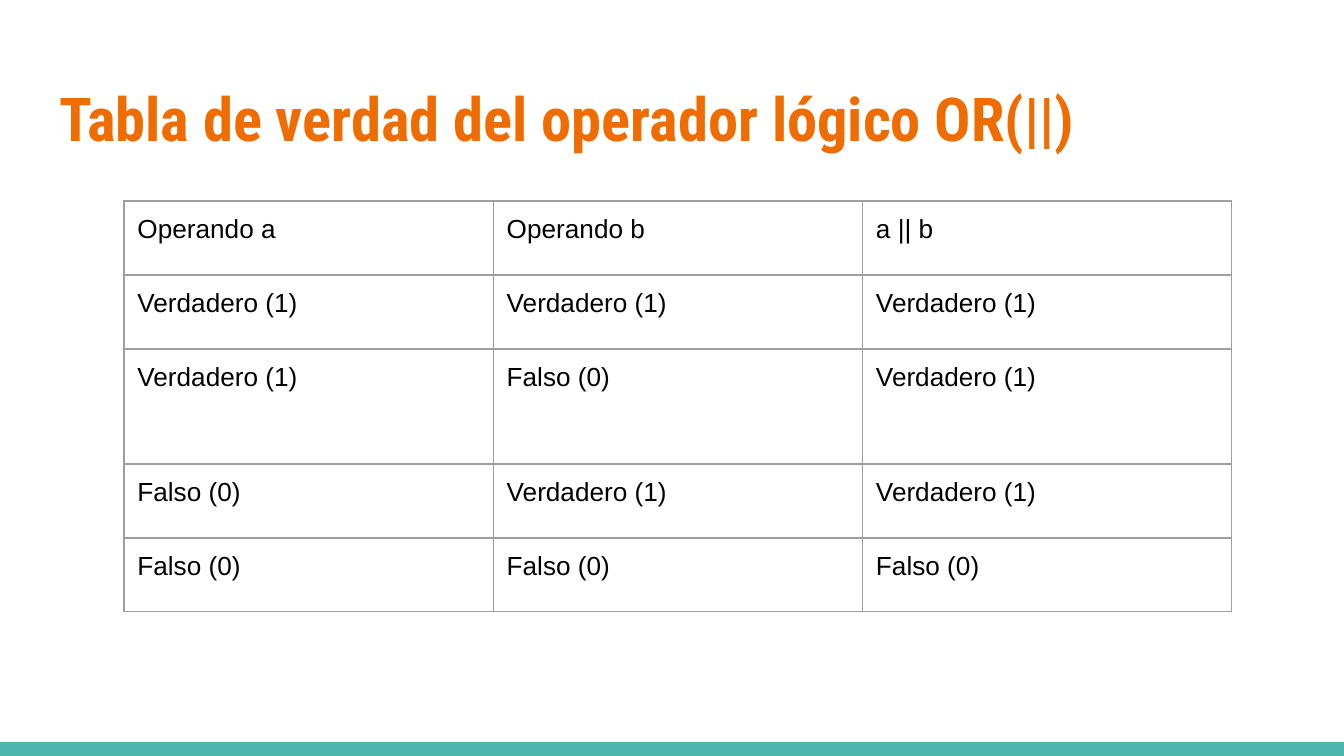
import pptx
import pptx.dml.color
import pptx.enum.shapes
import pptx.enum.text
import pptx.oxml
import pptx.oxml.ns
import pptx.util

PX_PER_INCH = 134.4
SLIDE_WIDTH, SLIDE_HEIGHT = 1344, 756
ORANGE, TEAL, GREY, BLACK = "EF6C00", "4DB6AC", "9E9E9E", "000000"
TRUE, FALSE = "Verdadero (1)", "Falso (0)"
TRUTH_TABLE = [
    ("Operando a", "Operando b", "a || b"),
    (TRUE, TRUE, TRUE),
    (TRUE, FALSE, TRUE),
    (FALSE, TRUE, TRUE),
    (FALSE, FALSE, FALSE),
]
ROW_HEIGHTS = [74, 74, 115, 74, 74]


def px(length):
    return pptx.util.Emu(round(length * 914400 / PX_PER_INCH))


def color(hex_value):
    return pptx.dml.color.RGBColor.from_string(hex_value)


def set_margins(holder):
    holder.margin_left = holder.margin_right = pptx.util.Inches(0.1)
    holder.margin_top = holder.margin_bottom = pptx.util.Inches(0.1)


def add_run(paragraph, text, size, font_name, hex_value, bold=False):
    run = paragraph.add_run()
    run.text = text
    run.font.size = pptx.util.Pt(size)
    run.font.name = font_name
    run.font.bold = bold
    run.font.color.rgb = color(hex_value)


def set_borders(cell, hex_value, width):
    """Draw all four sides of a cell; lines must precede the fill in its XML."""
    properties = cell._tc.get_or_add_tcPr()
    for position, side in enumerate(("lnL", "lnR", "lnT", "lnB")):
        properties.insert(position, pptx.oxml.parse_xml(
            f'<a:{side} {pptx.oxml.ns.nsdecls("a")} w="{pptx.util.Pt(width)}">'
            f'<a:solidFill><a:srgbClr val="{hex_value}"/></a:solidFill></a:{side}>'))


def add_footer_bar(slide, left, top, width, height):
    bar = slide.shapes.add_shape(
        pptx.enum.shapes.MSO_SHAPE.RECTANGLE, px(left), px(top), px(width), px(height))
    bar.shadow.inherit = False
    bar.fill.solid()
    bar.fill.fore_color.rgb = color(TEAL)
    bar.line.fill.background()


def add_title(slide, left, top, width, height):
    title = slide.shapes.add_textbox(px(left), px(top), px(width), px(height)).text_frame
    title.word_wrap = True
    title.vertical_anchor = pptx.enum.text.MSO_ANCHOR.MIDDLE
    set_margins(title)
    add_run(title.paragraphs[0], "Tabla de verdad del operador lógico OR(||)",
            32.4, "Roboto Condensed", ORANGE, bold=True)


def add_truth_table(slide, left, top, width):
    column_count = len(TRUTH_TABLE[0])
    table = slide.shapes.add_table(
        len(TRUTH_TABLE), column_count,
        px(left), px(top), px(width), px(sum(ROW_HEIGHTS))).table
    table.first_row = table.horz_banding = False
    for column in table.columns:
        column.width = px(width / column_count)
    for row, height, values in zip(table.rows, ROW_HEIGHTS, TRUTH_TABLE):
        row.height = px(height)
        for cell, value in zip(row.cells, values):
            cell.fill.background()
            set_borders(cell, GREY, 0.75)
            set_margins(cell)
            add_run(cell.text_frame.paragraphs[0], value, 14, "Arial", BLACK)


def main():
    presentation = pptx.Presentation()
    presentation.slide_width = px(SLIDE_WIDTH)
    presentation.slide_height = px(SLIDE_HEIGHT)
    slide = presentation.slides.add_slide(presentation.slide_layouts[6])
    slide.background.fill.solid()
    slide.background.fill.fore_color.rgb = color("FFFFFF")
    add_footer_bar(slide, 0, 742, SLIDE_WIDTH, 14)
    add_title(slide, 46, 66, 1252, 103)
    add_truth_table(slide, 124, 201, 1108)
    presentation.save("out.pptx")


if __name__ == "__main__":
    main()
